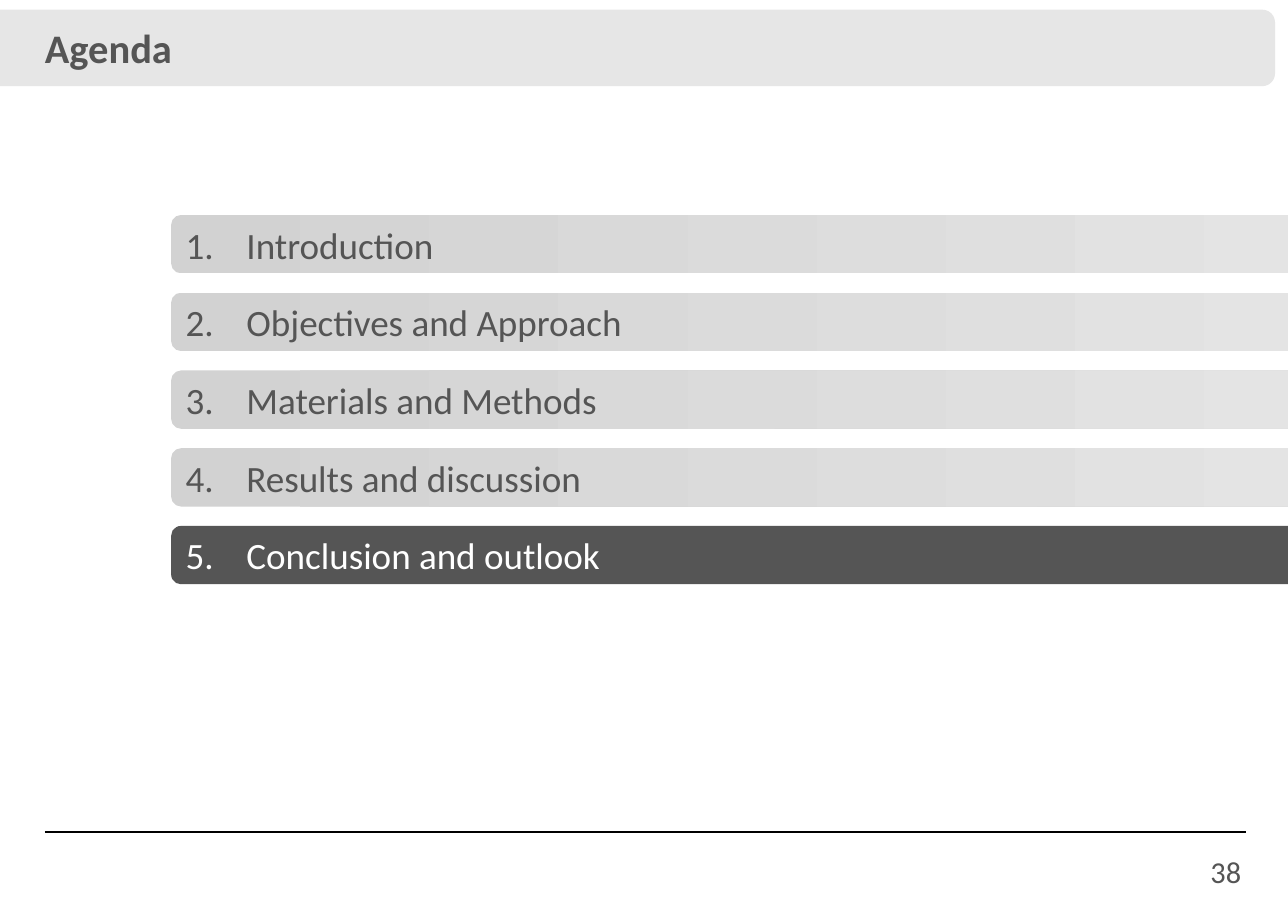
from math import sqrt

from pptx import Presentation
from pptx.dml.color import RGBColor
from pptx.enum.shapes import MSO_CONNECTOR, MSO_SHAPE
from pptx.enum.text import MSO_ANCHOR, PP_ALIGN
from pptx.oxml.ns import qn
from pptx.util import Inches, Pt

# Content
TITLE = "Agenda"
TOPICS = ["Introduction", "Objectives and Approach", "Materials and Methods",
          "Results and discussion", "Conclusion and outlook"]
CURRENT = 5
PAGE = "38"

# Style and grid, in inches; the page has the A-series ratio
COLORS = {"text": "555555", "light": "E6E6E6", "mid": "D2D2D2",
          "white": "FFFFFF", "rule": "000000"}
FONT = "Calibri"
HEIGHT = 7.5
WIDTH = HEIGHT * sqrt(2)
MARGIN, RIGHT, RULE_TOP = 0.37, 10.26, 6.85
BAR_LEFT, BAR_TOP, BAR_W, BAR_H, PITCH = 1.41, 1.77, 10.63, 0.48, 0.64
NUMBER_W, TOPIC_LEFT, TOPIC_W = 0.47, 1.95, 3.22


def color(name):
    return RGBColor.from_string(COLORS[name])


def add_bar(s, box, fill, fade_to=None):
    sp = s.shapes.add_shape(MSO_SHAPE.ROUNDED_RECTANGLE, *map(Inches, box))
    sp.shadow.inherit = False
    sp.line.fill.background()
    if fade_to:
        sp.fill.gradient()
        sp.fill.gradient_angle = 0
        for stop, name in zip(sp.fill.gradient_stops, (fill, fade_to)):
            stop.color.rgb = color(name)
    else:
        sp.fill.solid()
        sp.fill.fore_color.rgb = color(fill)


def add_text(s, box, text, size, ink="text", align=PP_ALIGN.LEFT,
             insets=(0.08, 0.05, 0.08, 0.05), bold=False):
    tf = s.shapes.add_textbox(*map(Inches, box)).text_frame
    tf.word_wrap = True
    tf.vertical_anchor = MSO_ANCHOR.MIDDLE
    tf.margin_left, tf.margin_top, tf.margin_right, tf.margin_bottom = map(Inches, insets)
    p = tf.paragraphs[0]
    p.text, p.alignment = text, align
    p.font.name, p.font.size, p.font.bold = FONT, Pt(size), bold
    p.font.color.rgb = color(ink)


prs = Presentation()
prs.slide_width, prs.slide_height = Inches(WIDTH), Inches(HEIGHT)
s = prs.slides.add_slide(prs.slide_layouts[6])

# Title band
add_bar(s, (-0.41, 0.08, 10.91, 0.63), "light")
add_text(s, (MARGIN, 0.14, RIGHT - MARGIN, 0.5), TITLE, 24,
         insets=(0, 0, 0, 0), bold=True)

# Agenda rows, the current one dark
for i, topic in enumerate(TOPICS, 1):
    top = BAR_TOP + (i - 1) * PITCH
    current = i == CURRENT
    ink = "white" if current else "text"
    fills = ("text",) if current else ("mid", "light")
    add_bar(s, (BAR_LEFT, top, BAR_W, BAR_H), *fills)
    add_text(s, (TOPIC_LEFT, top, TOPIC_W, BAR_H), topic, 22, ink,
             insets=(0.08, 0.05, 0, 0.05))
    add_text(s, (BAR_LEFT, top, NUMBER_W, BAR_H), f"{i}.", 22, ink, PP_ALIGN.CENTER)

# Footer rule and page number
rule = s.shapes.add_connector(MSO_CONNECTOR.STRAIGHT, Inches(MARGIN), Inches(RULE_TOP),
                              Inches(RIGHT), Inches(RULE_TOP))
rule.line.color.rgb = color("rule")
rule.line.width = Pt(0.75)
sp_pr = rule._element.spPr
sp_pr.append(sp_pr.makeelement(qn("a:effectLst"), {}))
add_text(s, (8.51, 6.97, 1.81, 0.4), PAGE, 18, align=PP_ALIGN.RIGHT,
         insets=(0.1, 0.05, 0.1, 0.05))

prs.save("out.pptx")
